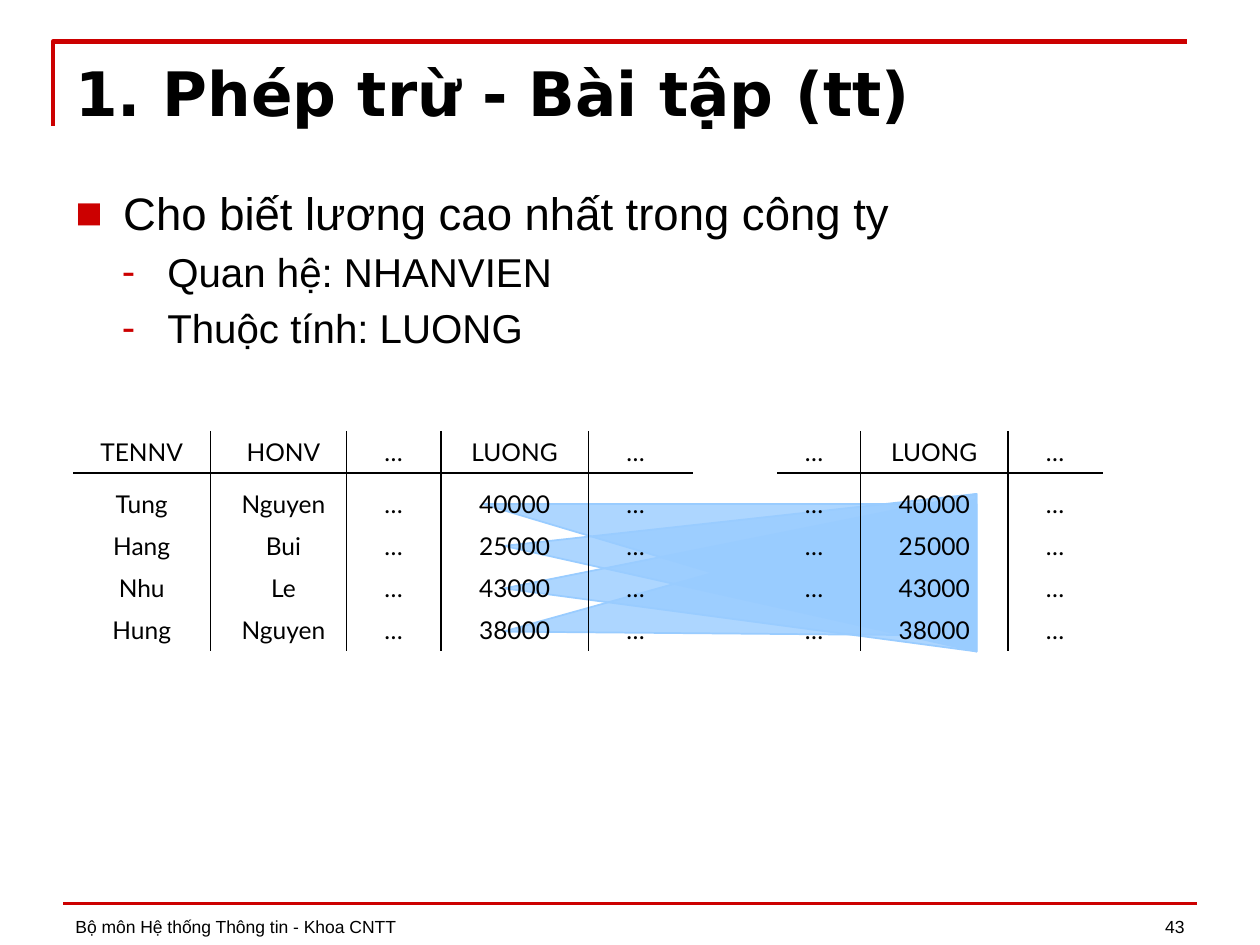
from itertools import accumulate

from lxml import etree
from pptx import Presentation
from pptx.dml.color import RGBColor
from pptx.enum.shapes import MSO_CONNECTOR, MSO_SHAPE
from pptx.enum.text import MSO_ANCHOR, PP_ALIGN
from pptx.oxml.ns import qn
from pptx.util import Inches, Pt

STRAIGHT = MSO_CONNECTOR.STRAIGHT
TRIANGLE = MSO_SHAPE.ISOSCELES_TRIANGLE
RIGHT_TRIANGLE = MSO_SHAPE.RIGHT_TRIANGLE
TOP, BOTTOM = MSO_ANCHOR.TOP, MSO_ANCHOR.BOTTOM
LEFT, CENTER, RIGHT, JUSTIFY = PP_ALIGN.LEFT, PP_ALIGN.CENTER, PP_ALIGN.RIGHT, PP_ALIGN.JUSTIFY

COLORS = {"accent": "CC0000", "text": "000000", "match": "99CCFF"}
NO_GRID_STYLE = "{2D5ABB26-0587-4C30-8999-92F81FD0307C}"
ROW_HEIGHTS = [1 / 3, 5 / 12, 1 / 3, 1 / 3, 1 / 3]
TABLE_TOP = 3.42
EMPLOYEES = [
    ["TENNV", "HONV", "…", "LUONG", "…"],
    ["Tung", "Nguyen", "…", "40000", "…"],
    ["Hang", "Bui", "…", "25000", "…"],
    ["Nhu", "Le", "…", "43000", "…"],
    ["Hung", "Nguyen", "…", "38000", "…"],
]
SALARIES = [row[2:] for row in EMPLOYEES]


def color(name):
    """Return the named palette colour."""
    return RGBColor.from_string(COLORS[name])


def set_line(line, name, width):
    """Give a line its colour and width in points."""
    line.color.rgb = color(name)
    line.width = Pt(width)


def set_font(paragraph, size, family="Arial", bold=False):
    """Set the font of a whole paragraph."""
    paragraph.font.name = family
    paragraph.font.size = Pt(size)
    paragraph.font.bold = bold
    paragraph.font.color.rgb = color("text")


def add_text_frame(slide, box, anchor=TOP):
    """Add a wrapping text box and return its frame."""
    frame = slide.shapes.add_textbox(*map(Inches, box)).text_frame
    frame.word_wrap = True
    frame.vertical_anchor = anchor
    return frame


def add_label(slide, box, text, size, anchor=TOP, align=LEFT, family="Arial", bold=False):
    """Add a text box with one paragraph."""
    paragraph = add_text_frame(slide, box, anchor).paragraphs[0]
    paragraph.text = text
    paragraph.alignment = align
    set_font(paragraph, size, family, bold)


def add_bullet(paragraph, character, margin, indent):
    """Give a paragraph a hanging bullet in the accent colour."""
    properties = paragraph._p.get_or_add_pPr()
    properties.set("marL", str(Inches(margin)))
    properties.set("indent", str(Inches(-indent)))
    bullet_color = etree.SubElement(properties, qn("a:buClr"))
    etree.SubElement(bullet_color, qn("a:srgbClr"), val=COLORS["accent"])
    etree.SubElement(properties, qn("a:buFont"), typeface="Arial")
    etree.SubElement(properties, qn("a:buChar"), char=character)


def add_body(slide, box, heading, details):
    """Add a bulleted heading followed by its detail lines."""
    frame = add_text_frame(slide, box)
    for index, text in enumerate([heading, *details]):
        paragraph = frame.add_paragraph() if index else frame.paragraphs[0]
        paragraph.text = text
        paragraph.alignment = JUSTIFY
        if index:
            paragraph.level = 1
            paragraph.space_before = Pt(4.5)
            add_bullet(paragraph, "-", 0.73, 0.36)
        else:
            add_bullet(paragraph, "■", 0.38, 0.38)
        set_font(paragraph, 23 if index else 26)


def add_rule(slide, start, end, name="text", width=1):
    """Draw a straight line between two points."""
    rule = slide.shapes.add_connector(STRAIGHT, *map(Inches, (*start, *end)))
    etree.SubElement(rule._element.spPr, qn("a:effectLst"))
    set_line(rule.line, name, width)


def add_title_corner(slide):
    """Draw the corner line around the title."""
    builder = slide.shapes.build_freeform(Inches(0.42), Inches(1), scale=1.0)
    points = [(0.42, 0.33), (9.42, 0.33)]
    builder.add_line_segments([(Inches(x), Inches(y)) for x, y in points], close=False)
    corner = builder.convert_to_shape()
    corner.shadow.inherit = False
    corner.fill.background()
    set_line(corner.line, "accent", 2.5)


def add_match(slide, kind, box, rotation, tip=None):
    """Add a translucent triangle that fans out from one salary."""
    shape = slide.shapes.add_shape(kind, *map(Inches, box))
    shape.rotation = rotation
    if tip is not None:
        shape.adjustments[0] = tip
    shape.shadow.inherit = False
    shape.fill.solid()
    shape.fill.fore_color.rgb = color("match")
    fill_color = shape._element.spPr.find(qn("a:solidFill"))[0]
    etree.SubElement(fill_color, qn("a:alpha"), val="80000")
    set_line(shape.line, "match", 1)


def add_relation(slide, left, widths, rows, paddings):
    """Add a relation as a table with inner rules, padded by column (left, right)."""
    width, height = sum(widths), sum(ROW_HEIGHTS)
    box = (left, TABLE_TOP, width, height)
    table = slide.shapes.add_table(len(rows), len(widths), *map(Inches, box)).table
    table.first_row = table.horz_banding = False
    table._tbl.tblPr.find(qn("a:tableStyleId")).text = NO_GRID_STYLE
    for column, column_width in zip(table.columns, widths):
        column.width = Inches(column_width)
    for row, row_height in zip(table.rows, ROW_HEIGHTS):
        row.height = Inches(row_height)
    for row_index, row in enumerate(rows):
        for column_index, text in enumerate(row):
            cell = table.cell(row_index, column_index)
            cell.text = text
            cell.vertical_anchor = BOTTOM
            cell.margin_top, cell.margin_bottom = Inches(0.03), Inches(0.05)
            cell.margin_left, cell.margin_right = map(Inches, paddings.get(column_index, (0, 0)))
            paragraph = cell.text_frame.paragraphs[0]
            paragraph.alignment = CENTER
            set_font(paragraph, 14, "Lato")
            cell.fill.background()
    header_bottom = TABLE_TOP + ROW_HEIGHTS[0]
    add_rule(slide, (left, header_bottom), (left + width, header_bottom))
    for offset in accumulate(widths[:-1]):
        add_rule(slide, (left + offset, TABLE_TOP), (left + offset, TABLE_TOP + height))


def main():
    """Build the slide and save it."""
    presentation = Presentation()
    presentation.slide_width, presentation.slide_height = Inches(10), Inches(7.5)
    slide = presentation.slides.add_slide(presentation.slide_layouts[6])
    add_title_corner(slide)
    add_rule(slide, (0.5, 7.17), (9.5, 7.17), "accent", 2)
    add_label(slide, (0.5, 6.99, 6.08, 0.5), "Bộ môn Hệ thống Thông tin - Khoa CNTT", 10, BOTTOM)
    add_label(slide, (7.17, 6.99, 2.33, 0.5), "43", 10, BOTTOM, RIGHT)
    add_match(slide, TRIANGLE, (5.33, 2.63, 1.08, 3.75), 270, 0.03)
    for tip in (0.4, 0.67):
        add_match(slide, TRIANGLE, (5.25, 2.67, 1.25, 3.75), 270, tip)
    add_match(slide, RIGHT_TRIANGLE, (3.83, 4, 3.92, 1.17), 180)
    add_label(slide, (0.5, 0.39, 9.5, 0.68), "1. Phép trừ - Bài tập (tt)", 35,
              family="DejaVu Sans", bold=True)
    add_body(slide, (0.5, 1.42, 9, 5.29), "Cho biết lương cao nhất trong công ty",
             ["Quan hệ: NHANVIEN", "Thuộc tính: LUONG"])
    add_relation(slide, 0.58, [1.09, 1.08, 0.75, 1.17, 0.83], EMPLOYEES,
                 {1: (0.08, 0), 4: (0, 0.08)})
    add_relation(slide, 6.17, [0.66, 1.17, 0.75], SALARIES, {0: (0, 0.08)})
    presentation.save("out.pptx")


if __name__ == "__main__":
    main()
